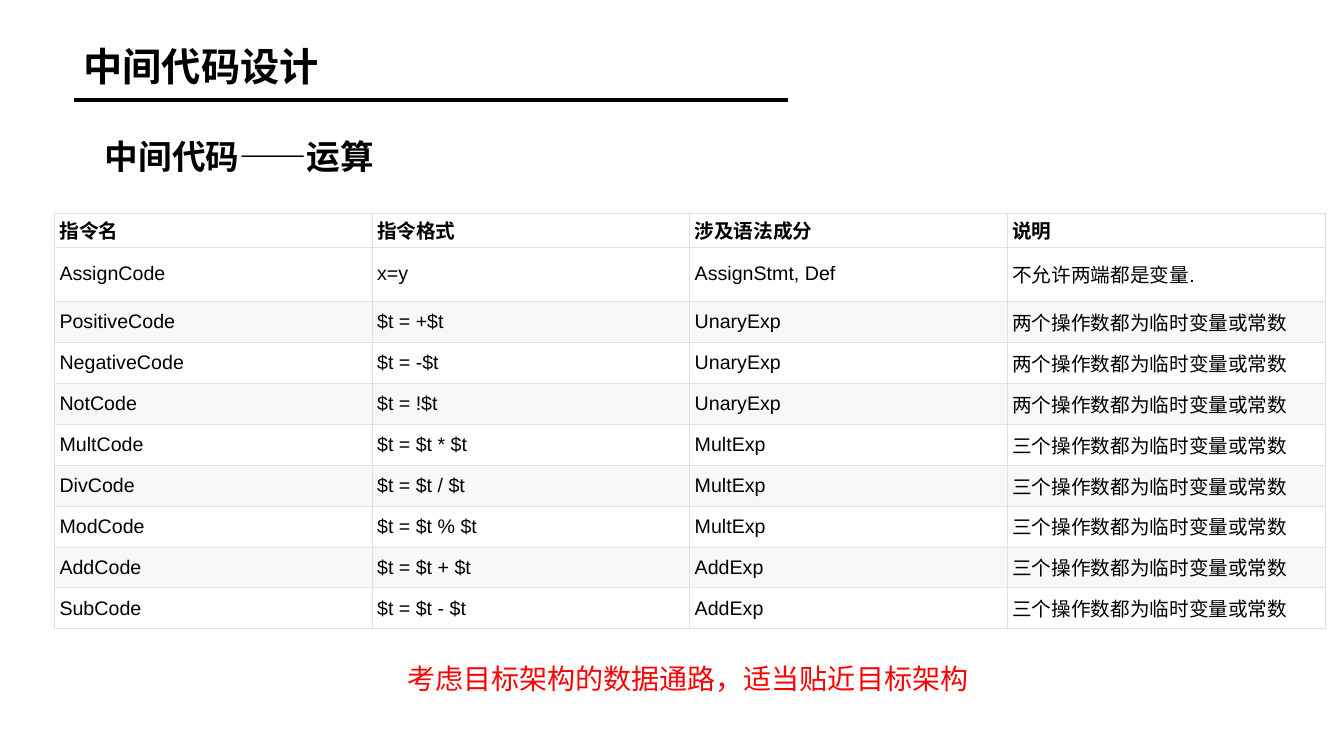
from dataclasses import dataclass

from lxml.etree import SubElement
from pptx import Presentation
from pptx.dml.color import RGBColor
from pptx.enum.shapes import MSO_CONNECTOR
from pptx.enum.text import MSO_ANCHOR, MSO_AUTO_SIZE, PP_ALIGN
from pptx.oxml.ns import qn
from pptx.util import Inches, Pt


@dataclass(frozen=True)
class Theme:
    font: str = "Arial"
    ink: str = "000000"
    accent: str = "FF0000"
    paper: str = "FFFFFF"
    band: str = "F8F8F8"
    border: str = "DFE2E5"
    title: int = 28
    subtitle: int = 24
    note: int = 20
    cell: int = 14


THEME = Theme()
TWO_OPERANDS = "两个操作数都为临时变量或常数"
THREE_OPERANDS = "三个操作数都为临时变量或常数"
INSTRUCTIONS = [
    ("指令名", "指令格式", "涉及语法成分", "说明"),
    ("AssignCode", "x=y", "AssignStmt, Def", "不允许两端都是变量."),
    ("PositiveCode", "$t = +$t", "UnaryExp", TWO_OPERANDS),
    ("NegativeCode", "$t = -$t", "UnaryExp", TWO_OPERANDS),
    ("NotCode", "$t = !$t", "UnaryExp", TWO_OPERANDS),
    ("MultCode", "$t = $t * $t", "MultExp", THREE_OPERANDS),
    ("DivCode", "$t = $t / $t", "MultExp", THREE_OPERANDS),
    ("ModCode", "$t = $t % $t", "MultExp", THREE_OPERANDS),
    ("AddCode", "$t = $t + $t", "AddExp", THREE_OPERANDS),
    ("SubCode", "$t = $t - $t", "AddExp", THREE_OPERANDS),
]


def write(tf, text, size, color=THEME.ink, bold=False, spacing=1.0, anchor=MSO_ANCHOR.TOP):
    tf.vertical_anchor = anchor
    p = tf.paragraphs[0]
    p.alignment = PP_ALIGN.LEFT
    p.line_spacing = spacing
    p.space_before = Pt(0)
    r = p.add_run()
    r.text = text
    r.font.name = THEME.font
    r.font.size = Pt(size)
    r.font.bold = bold
    r.font.color.rgb = RGBColor.from_string(color)


def place(sp, x, y, w, h):
    sp.left, sp.top, sp.width, sp.height = (Inches(v) for v in (x, y, w, h))


def add_heading(s, x, y, w, h):
    """Fill the title placeholder and underline it."""
    title = s.shapes.title
    place(title, x, y, w, h)
    write(title.text_frame, "中间代码设计", THEME.title, bold=True, spacing=0.9)
    title.text_frame.auto_size = MSO_AUTO_SIZE.NONE
    rule_y = Inches(y + 0.57)
    rule = s.shapes.add_connector(
        MSO_CONNECTOR.STRAIGHT, Inches(x), rule_y, Inches(x + 7.09), rule_y)
    rule.line.color.rgb = RGBColor.from_string(THEME.ink)
    rule.line.width = Pt(3)
    SubElement(rule._element.spPr, qn("a:effectLst"))


def add_subtitle(s, x, y, w, h):
    body = s.placeholders[1]
    place(body, x, y, w, h)
    tf = body.text_frame
    pPr = tf.paragraphs[0]._p.get_or_add_pPr()
    pPr.set("marL", "0")
    pPr.set("indent", "0")
    SubElement(pPr, qn("a:buNone"))
    write(tf, "中间代码——运算", THEME.subtitle, bold=True, spacing=0.9)
    tf.auto_size = MSO_AUTO_SIZE.NONE


def set_borders(cell):
    tcPr = cell._tc.get_or_add_tcPr()
    for i, side in enumerate(("lnL", "lnR", "lnT", "lnB")):
        ln = tcPr.makeelement(qn(f"a:{side}"), {"w": str(Pt(0.6))})
        fill = SubElement(ln, qn("a:solidFill"))
        SubElement(fill, qn("a:srgbClr"), val=THEME.border)
        tcPr.insert(i, ln)


def add_instruction_table(s, x, y, w, h):
    n_rows, n_cols = len(INSTRUCTIONS), len(INSTRUCTIONS[0])
    table = s.shapes.add_table(
        n_rows, n_cols, Inches(x), Inches(y), Inches(w), Inches(h)).table
    for col in table.columns:
        col.width = Inches(w / n_cols)
    top_rows = [0.33, 0.54]
    rest = (h - sum(top_rows)) / (n_rows - len(top_rows))
    heights = top_rows + [rest] * (n_rows - len(top_rows))
    for i, (texts, height) in enumerate(zip(INSTRUCTIONS, heights)):
        table.rows[i].height = Inches(height)
        banded = i > 0 and i % 2 == 0
        for j, text in enumerate(texts):
            cell = table.cell(i, j)
            cell.margin_left = cell.margin_right = Inches(0.05)
            cell.margin_top = cell.margin_bottom = Inches(0.02)
            cell.vertical_anchor = MSO_ANCHOR.MIDDLE
            cell.fill.solid()
            cell.fill.fore_color.rgb = RGBColor.from_string(
                THEME.band if banded else THEME.paper)
            set_borders(cell)
            write(cell.text_frame, text, THEME.cell, bold=i == 0, anchor=MSO_ANCHOR.MIDDLE)


def add_note(s, x, y, w, h):
    tf = s.shapes.add_textbox(Inches(x), Inches(y), Inches(w), Inches(h)).text_frame
    tf.word_wrap = False
    tf.auto_size = MSO_AUTO_SIZE.SHAPE_TO_FIT_TEXT
    write(tf, "考虑目标架构的数据通路，适当贴近目标架构", THEME.note, color=THEME.accent)


def main():
    prs = Presentation()
    prs.slide_width, prs.slide_height = Inches(13.33), Inches(7.5)
    s = prs.slides.add_slide(prs.slide_layouts[1])
    add_heading(s, 0.73, 0.42, 11.87, 0.7)
    add_subtitle(s, 0.94, 1.34, 4.17, 0.57)
    add_instruction_table(s, 0.54, 2.12, 12.6, 4.12)
    add_note(s, 3.94, 6.51, 5.81, 0.44)
    prs.save("out.pptx")


if __name__ == "__main__":
    main()
